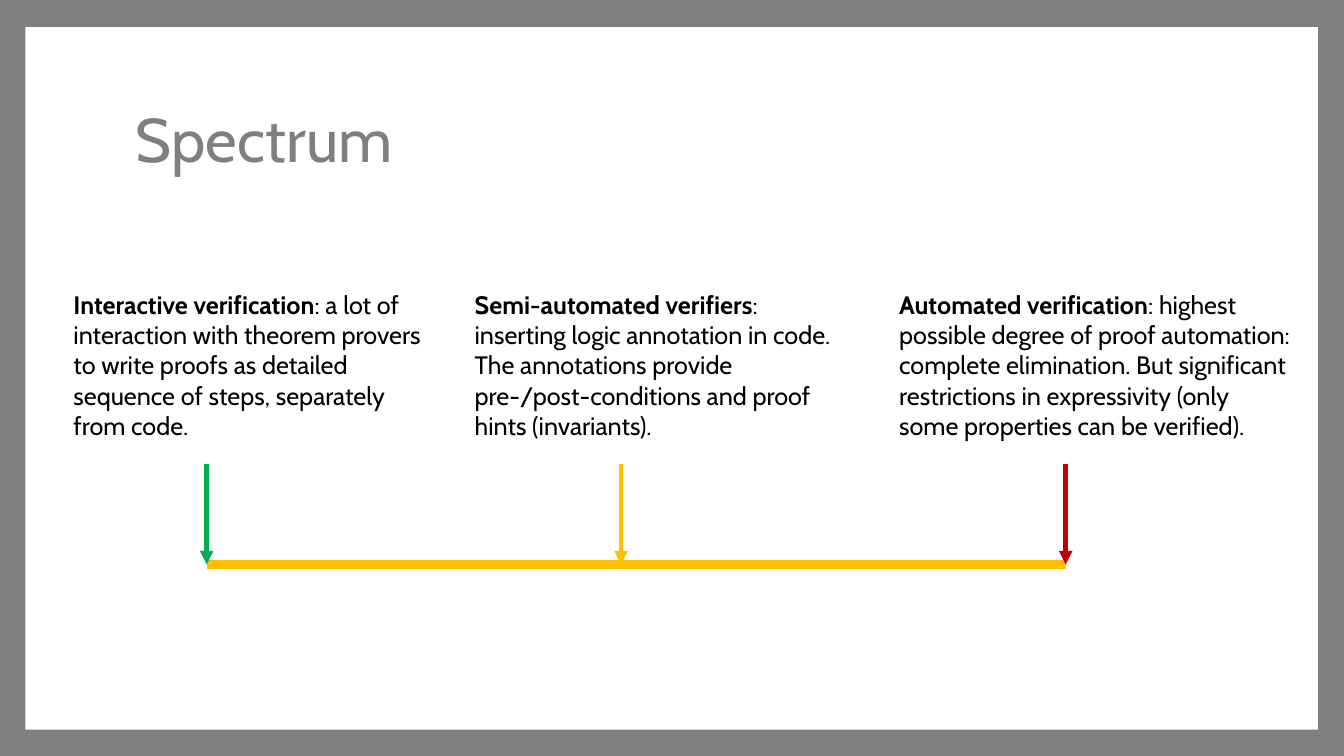
from dataclasses import dataclass

from lxml.etree import SubElement
from pptx import Presentation
from pptx.dml.color import RGBColor
from pptx.enum.shapes import MSO_CONNECTOR as Connector, MSO_SHAPE as Shape
from pptx.enum.text import MSO_ANCHOR as Anchor
from pptx.oxml.ns import qn
from pptx.slide import Slide
from pptx.text.text import _Paragraph as Paragraph
from pptx.util import Inches, Pt

GREY = RGBColor(0x7F, 0x7F, 0x7F)
WHITE = RGBColor(0xFF, 0xFF, 0xFF)
BLACK = RGBColor(0x00, 0x00, 0x00)
GREEN = RGBColor(0x00, 0xB0, 0x50)
AMBER = RGBColor(0xFF, 0xC0, 0x00)
RED = RGBColor(0xC0, 0x00, 0x00)

# Grid: 100 columns by 100 rows over the slide
WIDTH, HEIGHT = Inches(13.33), Inches(7.5)
TEXT_ROW, TEXT_ROWS = 37.6, 21.6
ARROW_ROW, SCALE_ROW = 61.33, 74.67


def across(columns: float) -> int:
    return round(WIDTH * columns / 100)


def down(rows: float) -> int:
    return round(HEIGHT * rows / 100)


@dataclass
class Approach:
    name: str
    description: str
    column: float
    columns: float
    arrow_column: float
    color: RGBColor


APPROACHES = [
    Approach("Interactive verification",
             ": a lot of interaction with theorem provers to write proofs as "
             "detailed sequence of steps, separately from code.",
             4.73, 27.68, 15.38, GREEN),
    Approach("Semi-automated verifiers",
             ": inserting logic annotation in code. The annotations provide "
             "pre-/post-conditions and proof hints (invariants).",
             34.58, 29.33, 46.21, AMBER),
    Approach("Automated verification",
             ": highest possible degree of proof automation: complete "
             "elimination. But significant restrictions in expressivity (only "
             "some properties can be verified).",
             66.17, 30.83, 79.29, RED),
]


def add_span(para: Paragraph, text: str, size: float, color: RGBColor,
             bold: bool = False) -> None:
    span = para.add_run()
    span.text = text
    formats = {"name": "Cabin", "size": Pt(size), "bold": bold}
    for key, value in formats.items():
        setattr(span.font, key, value)
    span.font.color.rgb = color


def add_para(page: Slide, column: float, row: float, columns: float,
             rows: float, anchor: Anchor = Anchor.TOP) -> Paragraph:
    box = page.shapes.add_textbox(across(column), down(row),
                                  across(columns), down(rows))
    formats = {"word_wrap": True, "vertical_anchor": anchor}
    for key, value in formats.items():
        setattr(box.text_frame, key, value)
    return box.text_frame.paragraphs[0]


def add_line(page: Slide, start: tuple[float, float], end: tuple[float, float],
             color: RGBColor, weight: float, arrow: bool = False) -> None:
    line = page.shapes.add_connector(
        Connector.STRAIGHT, across(start[0]), down(start[1]),
        across(end[0]), down(end[1]))
    line.line.color.rgb = color
    line.line.width = Pt(weight)
    if arrow:
        SubElement(line.line._get_or_add_ln(), qn("a:tailEnd"), type="triangle")
    SubElement(line._element.spPr, qn("a:effectLst"))


def add_approach(page: Slide, approach: Approach) -> None:
    para = add_para(page, approach.column, TEXT_ROW, approach.columns, TEXT_ROWS)
    add_span(para, approach.name, 18, BLACK, bold=True)
    add_span(para, approach.description, 18, BLACK)
    add_line(page, (approach.arrow_column, ARROW_ROW),
             (approach.arrow_column, SCALE_ROW), approach.color, 3.25, arrow=True)


def main() -> None:
    deck = Presentation()
    deck.slide_width, deck.slide_height = WIDTH, HEIGHT
    page = deck.slides.add_slide(deck.slide_layouts[6])

    # Grey frame around a white panel
    page.background.fill.solid()
    page.background.fill.fore_color.rgb = GREY
    panel = page.shapes.add_shape(Shape.RECTANGLE, across(1.88), down(3.6),
                                  across(96.17), down(92.93))
    panel.shadow.inherit = False
    panel.fill.solid()
    panel.fill.fore_color.rgb = WHITE
    panel.line.fill.background()

    # Title
    title = add_para(page, 9.38, 8.93, 81, 19.73, Anchor.MIDDLE)
    title.line_spacing = 0.9
    add_span(title, "Spectrum", 44, GREY)

    # Scale, then the approaches pointing at it
    add_line(page, (APPROACHES[0].arrow_column, SCALE_ROW),
             (APPROACHES[-1].arrow_column, SCALE_ROW), AMBER, 5.75)
    for approach in APPROACHES:
        add_approach(page, approach)

    deck.save("out.pptx")


if __name__ == "__main__":
    main()
